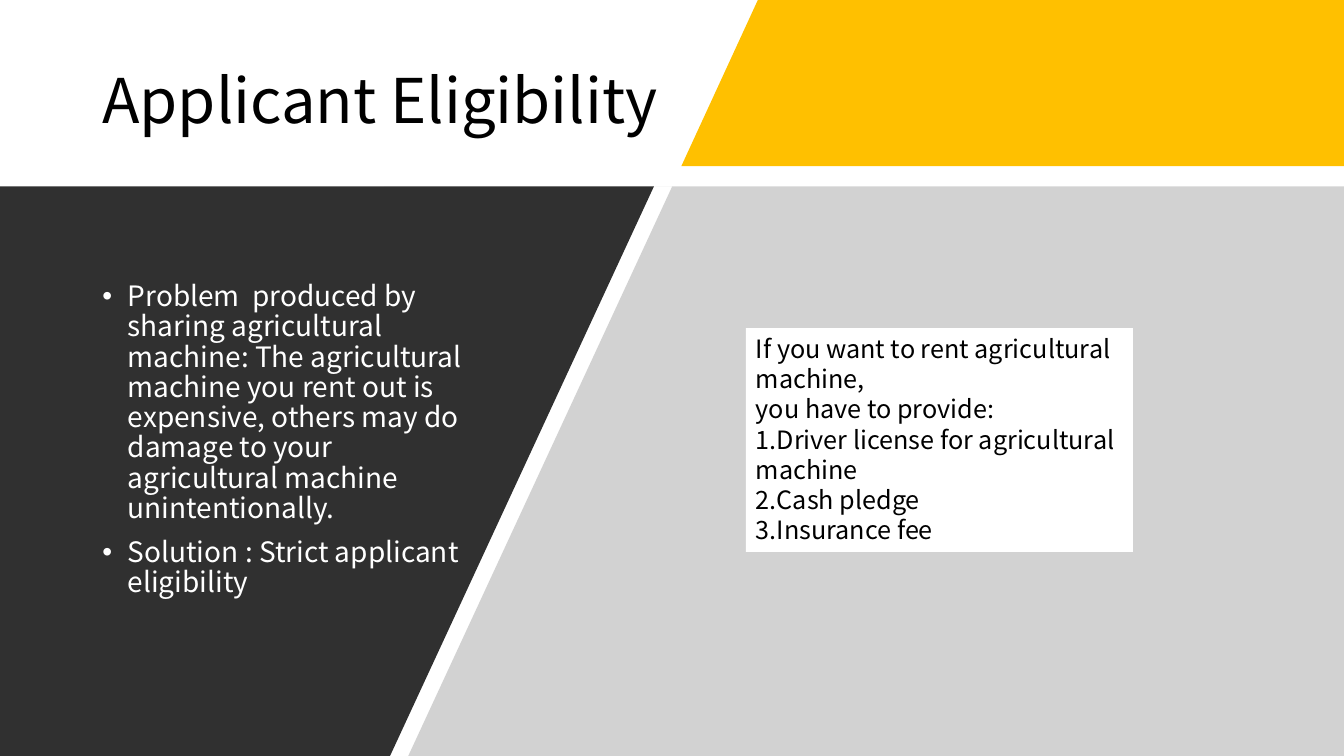
from dataclasses import dataclass
from typing import Optional

from lxml.etree import SubElement
from pptx import Presentation
from pptx.dml.color import RGBColor
from pptx.enum.shapes import MSO_SHAPE as Preset
from pptx.enum.text import MSO_ANCHOR as Anchor, MSO_AUTO_SIZE as AutoSize, PP_ALIGN as Align
from pptx.oxml.ns import qn
from pptx.slide import Slide
from pptx.util import Cm, Pt

WHITE = RGBColor(0xFF, 0xFF, 0xFF)
BLACK = RGBColor(0x00, 0x00, 0x00)
YELLOW = RGBColor(0xFF, 0xC0, 0x00)
GRAY = RGBColor(0xA6, 0xA6, 0xA6)
CHARCOAL = RGBColor(0x30, 0x30, 0x30)
FONT = "Noto Sans CJK SC"

# Slide edges and the horizontal gap, in centimetres
RIGHT, BOTTOM = 33.87, 19.05
BAND_BOTTOM, PANEL_TOP = 4.19, 4.7


@dataclass
class Panel:
    points: list[tuple[float, float]]
    color: RGBColor
    opacity: int = 100


@dataclass
class TextBlock:
    box: tuple[float, float, float, float]
    paragraphs: list[str]
    font: dict
    spacing: dict
    anchor: Anchor = Anchor.MIDDLE
    auto_size: AutoSize = AutoSize.NONE
    fill: Optional[RGBColor] = None
    bullet: Optional[str] = None


PANELS = [
    Panel([(19.1, 0), (RIGHT, 0), (RIGHT, BAND_BOTTOM), (17.17, BAND_BOTTOM)], YELLOW),
    Panel([(9.68, PANEL_TOP), (RIGHT, PANEL_TOP), (RIGHT, BOTTOM),
           (10.29, BOTTOM), (16.94, PANEL_TOP)], GRAY, opacity=50),
    Panel([(0, PANEL_TOP), (16.48, PANEL_TOP), (9.83, BOTTOM), (0, BOTTOM)], CHARCOAL),
]

TEXT_BLOCKS = [
    TextBlock(
        (2.33, 6.05, 10.01, 10.11),
        ["Problem  produced by sharing agricultural machine: The agricultural machine "
         "you rent out is expensive, others may do damage to your agricultural machine "
         "unintentionally.",
         "Solution : Strict applicant eligibility"],
        {"size": Pt(20), "color": WHITE},
        {"line_spacing": 0.9, "space_before": Pt(10)},
        bullet="•",
    ),
    TextBlock(
        (2.33, 1.02, 14.83, 3.18),
        ["Applicant Eligibility"],
        {"size": Pt(44), "color": BLACK},
        {"line_spacing": 0.9, "space_after": Pt(6)},
    ),
    TextBlock(
        (18.8, 8.27, 9.75, 5.64),
        ["If you want to rent agricultural machine,",
         "you have to provide:",
         "1.Driver license for agricultural machine",
         "2.Cash pledge",
         "3.Insurance fee"],
        {"size": Pt(18), "color": BLACK},
        {},
        anchor=Anchor.TOP,
        auto_size=AutoSize.SHAPE_TO_FIT_TEXT,
        fill=WHITE,
    ),
]


def draw_panel(slide: Slide, panel: Panel) -> None:
    start, *others = [(Cm(x), Cm(y)) for x, y in panel.points]
    builder = slide.shapes.build_freeform(*start)
    builder.add_line_segments(others, close=True)
    shape = builder.convert_to_shape()
    shape.shadow.inherit = False
    shape.line.fill.background()
    shape.fill.solid()
    shape.fill.fore_color.rgb = panel.color
    if panel.opacity < 100:
        color = shape.fill._xPr.find(qn("a:solidFill"))[0]
        SubElement(color, qn("a:alpha"), val=str(panel.opacity * 1000))


def add_bullet(paragraph, character: str) -> None:
    properties = paragraph._p.get_or_add_pPr()
    indent = Cm(0.64)
    properties.set("marL", str(indent))
    properties.set("indent", str(-indent))
    SubElement(properties, qn("a:buFont"), typeface="Arial")
    SubElement(properties, qn("a:buChar"), char=character)


def draw_text(slide: Slide, block: TextBlock) -> None:
    box = [Cm(length) for length in block.box]
    if block.fill is None:
        shape = slide.shapes.add_textbox(*box)
    else:
        shape = slide.shapes.add_shape(Preset.RECTANGLE, *box)
        shape.shadow.inherit = False
        shape.line.fill.background()
        shape.fill.solid()
        shape.fill.fore_color.rgb = block.fill

    frame = shape.text_frame
    frame.word_wrap = True
    frame.auto_size = block.auto_size
    frame.vertical_anchor = block.anchor
    frame.text = "\n".join(block.paragraphs)
    for paragraph in frame.paragraphs:
        for name, value in {"alignment": Align.LEFT, **block.spacing}.items():
            setattr(paragraph, name, value)
        if block.bullet:
            add_bullet(paragraph, block.bullet)
        font = paragraph.runs[0].font
        font.name = FONT
        font.size = block.font["size"]
        font.color.rgb = block.font["color"]


def main() -> None:
    presentation = Presentation()
    presentation.slide_width = Cm(RIGHT)
    presentation.slide_height = Cm(BOTTOM)
    slide = presentation.slides.add_slide(presentation.slide_layouts[6])

    # Slanted background panels
    for panel in PANELS:
        draw_panel(slide, panel)

    # Bullets, title and requirements box
    for block in TEXT_BLOCKS:
        draw_text(slide, block)

    presentation.save("out.pptx")


if __name__ == "__main__":
    main()
